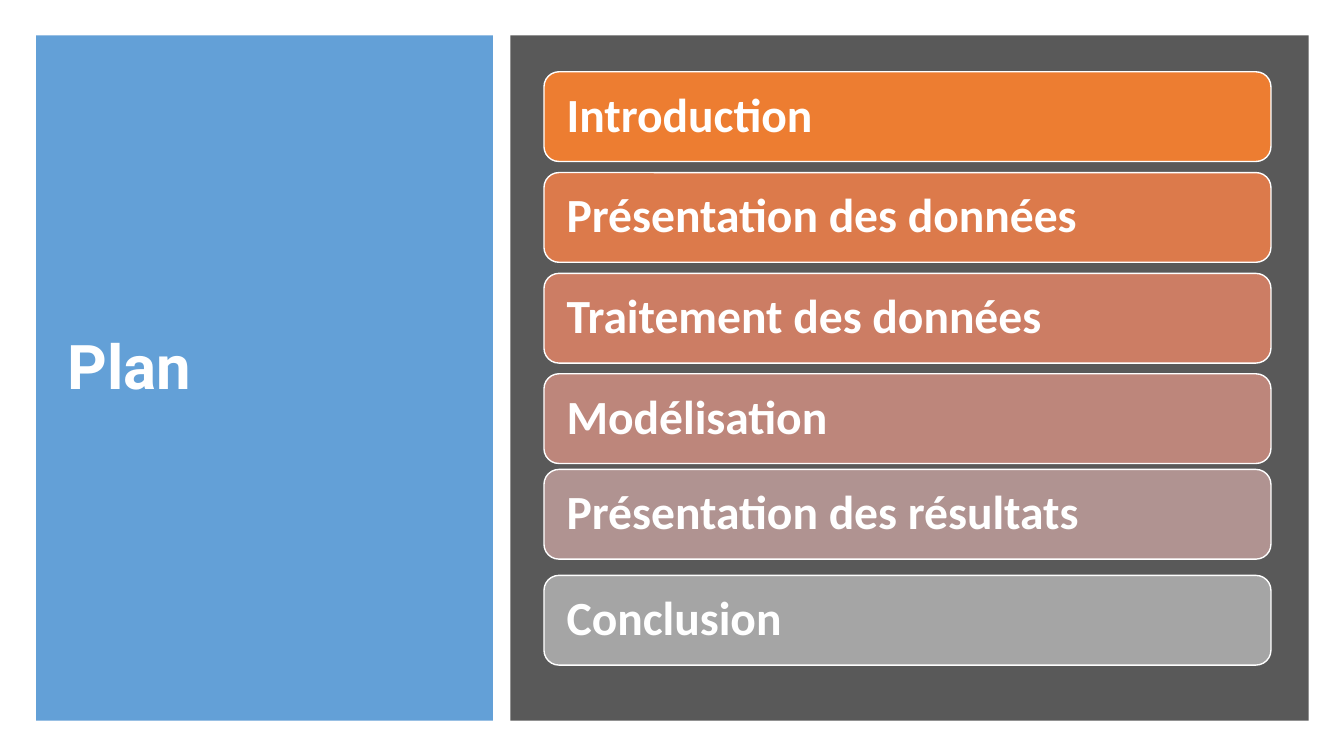
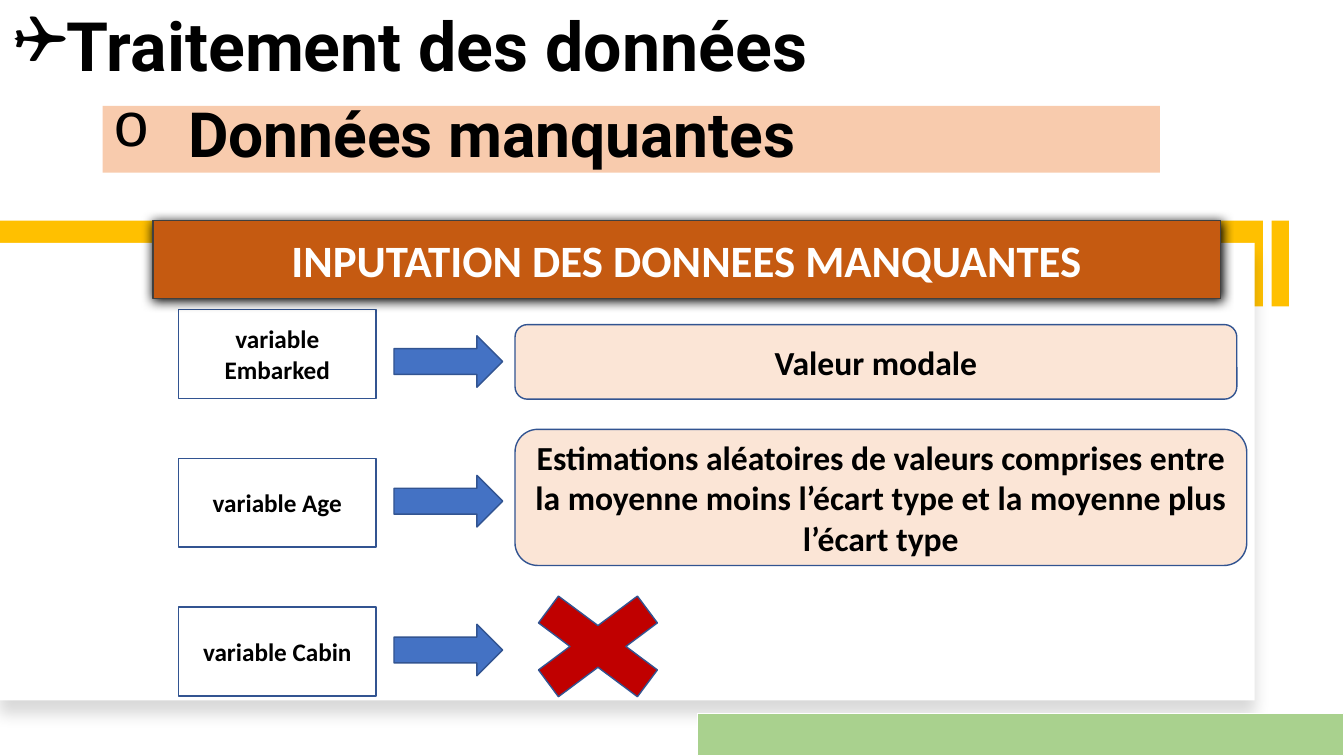
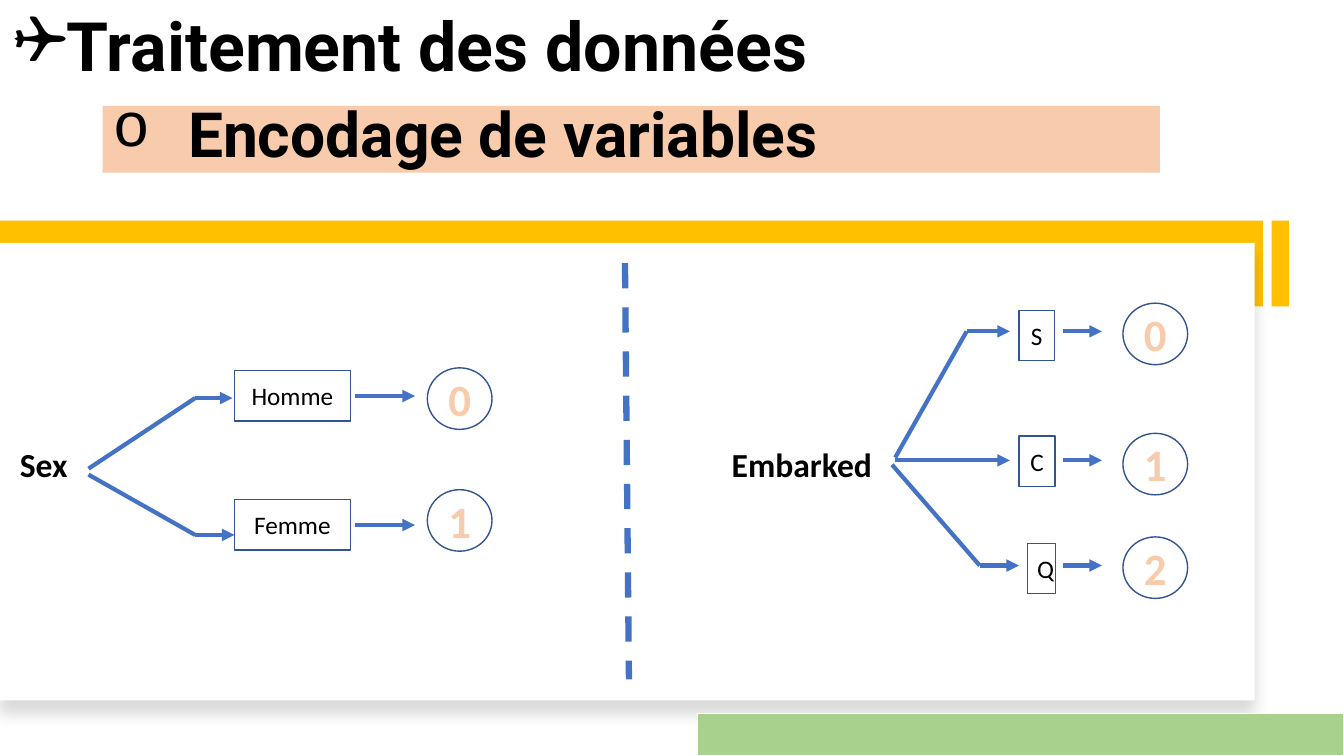
from dataclasses import dataclass
from typing import Optional

from pptx import Presentation
from pptx import util as u
from pptx.dml.color import RGBColor
from pptx.enum import dml, shapes, text
from pptx.oxml import parse_xml
from pptx.oxml.ns import nsdecls, qn

COLOURS = {
    "white": "FFFFFF", "black": "000000", "sky": "5B9BD5", "charcoal": "595959",
    "gold": "FFC000", "leaf": "A9D18E", "peach": "F8CBAD", "cream": "FBE5D6",
    "blue": "4472C4", "navy": "325491", "red": "C00000", "rust": "C55A11",
    "slate": "404040", "orange": "ED7D31", "plan2": "DC7A4B", "plan3": "CC7D64",
    "plan4": "BD867B", "plan5": "B09391", "plan6": "A5A5A5",
}
BODY_FONT, TITLE_FONT = "Calibri", "Roboto"
KIND = shapes.MSO_SHAPE
LEFT, CENTRE = text.PP_ALIGN.LEFT, text.PP_ALIGN.CENTER
MIDDLE, BOTTOM = text.MSO_ANCHOR.MIDDLE, text.MSO_ANCHOR.BOTTOM


# Shared helpers: all lengths are in centimetres
def rgb(name):
    return RGBColor.from_string(COLOURS[name])


def lengths(*values):
    return [u.Cm(value) for value in values]


def write(box, words, size, colour="black", font=BODY_FONT, bold=True,
          align=CENTRE, anchor=MIDDLE, spacing=None):
    frame = box.text_frame
    frame.text = words
    frame.word_wrap = True
    frame.vertical_anchor = anchor
    para = frame.paragraphs[0]
    para.alignment = align
    para.line_spacing = spacing
    span = para.runs[0].font
    span.name, span.size, span.bold = font, u.Pt(size), bold
    span.color.rgb = rgb(colour)
    return para


def draw(page, kind, place, fill=None, line=None, width=1):
    shape = page.shapes.add_shape(kind, *lengths(*place))
    shape.shadow.inherit = False
    if fill:
        shape.fill.solid()
        shape.fill.fore_color.rgb = rgb(fill)
    else:
        shape.fill.background()
    if line:
        shape.line.color.rgb = rgb(line)
        shape.line.width = u.Pt(width)
    else:
        shape.line.fill.background()
    return shape


def drop_shadow(shape, blur, distance, opacity):
    effects = shape.element.spPr.find(qn("a:effectLst"))
    effects.append(parse_xml(
        f'<a:outerShdw {nsdecls("a")} blurRad="{u.Pt(blur)}" dist="{u.Pt(distance)}" '
        f'dir="5400000" algn="t" rotWithShape="0"><a:srgbClr val="{COLOURS["black"]}">'
        f'<a:alpha val="{opacity * 1000}"/></a:srgbClr></a:outerShdw>'))


def add_bullet(para, symbol, font, indent=0):
    properties = para._p.get_or_add_pPr()
    properties.set("marL", str(u.Cm(indent)))
    properties.set("indent", str(-u.Cm(indent)))
    properties.append(parse_xml(f'<a:buFont {nsdecls("a")} typeface="{font}"/>'))
    properties.append(parse_xml(f'<a:buChar {nsdecls("a")} char="{symbol}"/>'))


def connect(page, start, end, arrow=False, width=3):
    line = page.shapes.add_connector(shapes.MSO_CONNECTOR.STRAIGHT, *lengths(*start, *end))
    line.line.color.rgb = rgb("blue")
    line.line.width = u.Pt(width)
    if arrow:
        line.line._get_or_add_ln().append(
            parse_xml(f'<a:tailEnd {nsdecls("a")} type="triangle"/>'))
    line.element.spPr.append(parse_xml(f'<a:effectLst {nsdecls("a")}/>'))
    return line


def set_title(page, words, place, size, colour, anchor):
    title = page.shapes.title
    title.left, title.top, title.width, title.height = lengths(*place)
    title.element.getparent().append(title.element)  # bring to front
    para = write(title, words, size, colour, TITLE_FONT, True, LEFT, anchor, 0.9)
    title.text_frame.auto_size = text.MSO_AUTO_SIZE.NONE
    return para


def new_page(deck):
    return deck.slides.add_slide(deck.slide_layouts[5])


def content_page(deck, subtitle):
    """Page with the section title, a subtitle band and the framed panel."""
    page = new_page(deck)
    # Gold corner, white panel and green foot
    draw(page, KIND.RECTANGLE, (32.05, 5.56, 0.43, 2.16), "gold")
    draw(page, KIND.RECTANGLE, (0, 5.56, 31.83, 2.16), "gold")
    panel = draw(page, KIND.RECTANGLE, (0, 6.12, 31.62, 11.53), "white")
    drop_shadow(panel, 11, 10, 15)
    draw(page, KIND.RECTANGLE, (17.58, 17.98, 16.29, 1.07), "leaf", "white", 0.75)
    # Title and subtitle
    para = set_title(page, "Traitement des données", (0.08, 0.13, 25.65, 2.16),
                     48.6, "black", BOTTOM)
    add_bullet(para, "❑", "Wingdings")
    band = draw(page, KIND.RECTANGLE, (2.59, 2.67, 26.64, 1.68), "peach")
    para = write(band, subtitle, 44.5, font=TITLE_FONT, align=LEFT,
                 anchor=BOTTOM, spacing=0.7)
    add_bullet(para, "o", "Courier New", 1.9)
    return page


# Slide 1: plan
def plan_item(page, place, words, fill):
    item = draw(page, KIND.ROUNDED_RECTANGLE, place, fill, "white")
    write(item, words, 34, "white", align=LEFT, spacing=0.9)
    item.text_frame.margin_left = u.Cm(0.46)


def plan_list(page, left, top, width, height):
    draw(page, KIND.RECTANGLE, (left, top, width, height), "charcoal")
    items = [
        (0.92, "Introduction", "orange"),
        (3.46, "Présentation des données", "plan2"),
        (6, "Traitement des données", "plan3"),
        (8.53, "Modélisation", "plan4"),
        (10.94, "Présentation des résultats", "plan5"),
        (13.61, "Conclusion", "plan6"),
    ]
    for offset, words, fill in items:
        plan_item(page, (left + 0.85, top + offset, width - 1.8, 2.26), words, fill)


def plan_page(deck):
    page = new_page(deck)
    panel = draw(page, KIND.RECTANGLE, (0.91, 0.89, 11.51, 17.27), "sky")
    panel.element.spPr.find(".//" + qn("a:srgbClr")).append(
        parse_xml(f'<a:alpha {nsdecls("a")} val="95000"/>'))
    set_title(page, "Plan", (1.45, 1.63, 10.34, 15.34), 44, "white", MIDDLE)
    plan_list(page, 12.86, 0.89, 20.12, 17.27)


# Slide 2: missing data
def variable_row(page, left, top, name, arrow_offset):
    box = draw(page, KIND.RECTANGLE, (left, top, 4.98, 2.24), None, "navy")
    write(box, name, 18)
    draw(page, KIND.RIGHT_ARROW, (left + 5.43, top + arrow_offset, 2.74, 1.3), "blue", "navy")


def missing_data_page(deck):
    page = content_page(deck, "Données manquantes")
    rows = [("variable Embarked", 0.66), ("variable Age", 0.43), ("variable Cabin", 0.43)]
    for index, (name, arrow_offset) in enumerate(rows):
        variable_row(page, 4.5, 7.8 + index * 3.75, name, arrow_offset)
    # Treatment chosen for each variable
    treatments = [
        ((12.98, 8.18, 18.19, 1.88), "Valeur modale"),
        ((12.98, 10.82, 18.44, 3.43),
         "Estimations aléatoires de valeurs comprises entre la moyenne moins "
         "l’écart type et la moyenne plus l’écart type"),
    ]
    for place, words in treatments:
        write(draw(page, KIND.ROUNDED_RECTANGLE, place, "cream", "navy"), words, 24)
    draw(page, KIND.MATH_MULTIPLY, (12.67, 14.5, 4.8, 3.58), "red", "navy")
    # Heading over the panel
    banner = draw(page, KIND.RECTANGLE, (3.86, 5.56, 26.9, 1.96), "rust", "slate")
    drop_shadow(banner, 8.5, 1, 100)
    write(banner, "INPUTATION DES DONNEES MANQUANTES", 32, "white")


# Slide 3: encoding of variables
@dataclass
class Branch:
    value: str
    start: tuple
    elbow: Optional[tuple]
    tip: float
    box: tuple  # left, top, width
    link: float
    code_top: float


def encoding_tree(page, left, top, name, width, link_ends, code_left, branches):
    """Label at left, top; branch places are relative to that corner."""
    def point(x, y):
        return left + x, top + y

    label = page.shapes.add_textbox(*lengths(left, top, width, 1.27))
    write(label, name, 24, align=LEFT, anchor=text.MSO_ANCHOR.TOP)
    for code, branch in enumerate(branches):
        # Line from the label, bent at the elbow
        bend = branch.elbow or branch.start
        if branch.elbow:
            connect(page, point(*branch.start), point(*bend))
        connect(page, point(*bend), point(branch.tip, bend[1]), arrow=True)
        # Value, link and code
        box_left, box_top, box_width = branch.box
        box = draw(page, KIND.RECTANGLE, (*point(box_left, box_top), box_width, 1.27),
                   None, "navy")
        write(box, branch.value, 18, bold=False)
        connect(page, *(point(x, branch.link) for x in link_ends), arrow=True)
        circle = draw(page, KIND.OVAL, (*point(code_left, branch.code_top), 1.63, 1.55),
                      None, "navy")
        para = write(circle, str(code), 32, "peach")
        para.runs[0]._r.get_or_add_rPr().insert(0, parse_xml(
            f'<a:ln {nsdecls("a")} w="{u.Pt(1.75)}"><a:solidFill>'
            f'<a:srgbClr val="{COLOURS["orange"]}"/></a:solidFill></a:ln>'))


def encoding_page(deck):
    page = content_page(deck, "Encodage de variables")
    encoding_tree(page, 0.25, 11.07, "Sex", 1.73, (8.69, 10.21), 10.52, [
        Branch("Homme", (1.98, 0.74), (4.67, -1.04), 5.61, (5.66, -1.73, 2.92), -1.09, -1.8),
        Branch("Femme", (1.98, 0.89), (4.67, 2.41), 5.66, (5.66, 1.52, 2.92), 2.16, 1.27),
    ])
    encoding_tree(page, 18.19, 11.07, "Embarked", 4.09, (8.61, 9.58), 10.11, [
        Branch("S", (4.37, 0.46), (6.17, -2.72), 7.26, (7.49, -3.25, 0.89), -2.72, -3.43),
        Branch("C", (4.37, 0.53), None, 7.26, (7.49, -0.08, 0.91), 0.53, -0.15),
        Branch("Q", (4.29, 0.64), (6.5, 3.18), 7.49, (7.7, 2.62, 0.71), 3.18, 2.46),
    ])
    # Divider between the two variables
    divider = connect(page, (15.75, 6.63), (15.85, 17.12), width=4.5)
    divider.line.dash_style = dml.MSO_LINE.DASH


def main():
    deck = Presentation()
    deck.slide_width, deck.slide_height = lengths(33.87, 19.05)
    plan_page(deck)
    missing_data_page(deck)
    encoding_page(deck)
    deck.save("out.pptx")


if __name__ == "__main__":
    main()
